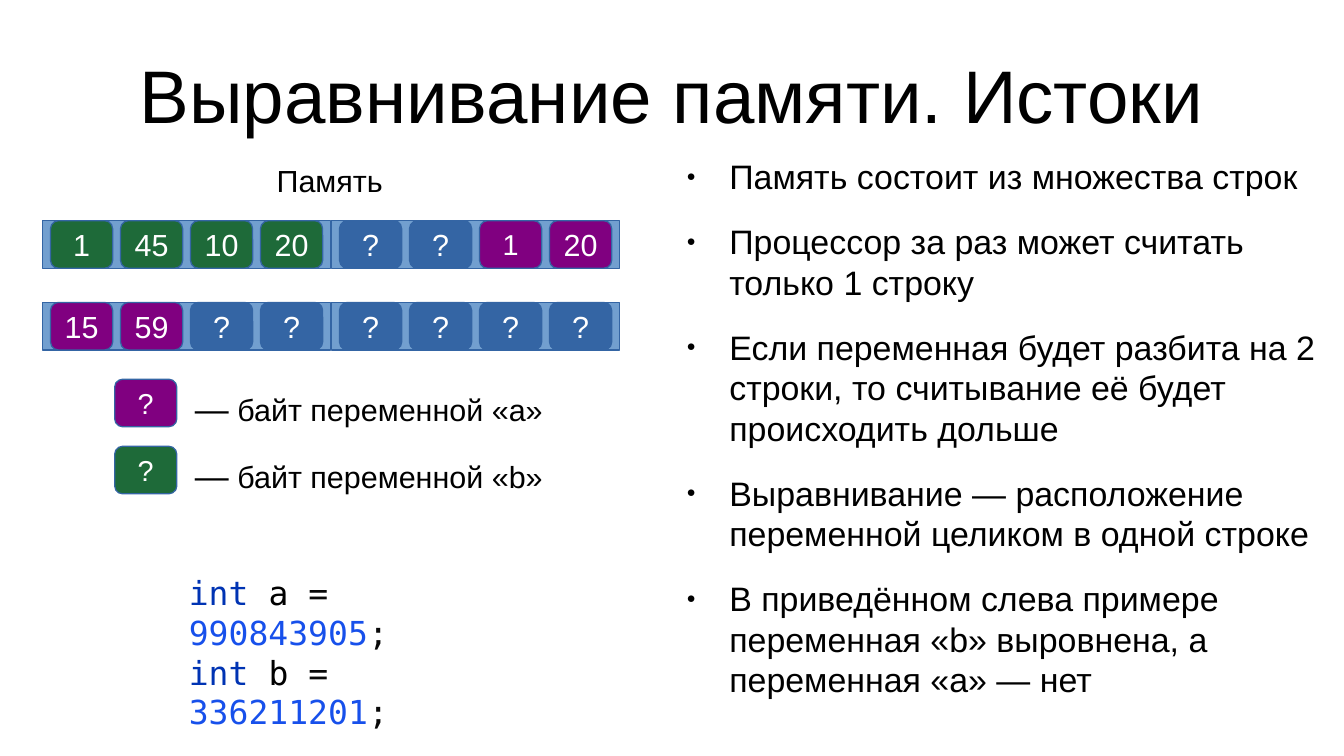
import lxml.etree
import pptx
import pptx.dml.color
import pptx.enum.shapes
import pptx.enum.text
import pptx.oxml.ns
import pptx.util

Inches, Pt = pptx.util.Inches, pptx.util.Pt
SHAPES = pptx.enum.shapes.MSO_SHAPE
ALIGN = pptx.enum.text.PP_ALIGN
MIDDLE = pptx.enum.text.MSO_ANCHOR.MIDDLE
NO_AUTOSIZE = pptx.enum.text.MSO_AUTO_SIZE.NONE

TITLE = "Выравнивание памяти. Истоки"
POINTS = [
    "Память состоит из множества строк",
    "Процессор за раз может считать только 1 строку",
    "Если переменная будет разбита на 2 строки, то считывание её будет происходить дольше",
    "Выравнивание — расположение переменной целиком в одной строке",
    "В приведённом слева примере переменная «b» выровнена, а переменная «a» — нет",
]
MEMORY_CAPTION = "Память"
A, B, UNKNOWN = "800080", "1E6A39", "3465A4"
BACKING, OUTLINE = "729FCF", "3465A4"
BLACK, WHITE = "000000", "FFFFFF"

# Each memory row: its top, then bytes as (value, colour, text size).
EMPTY = ("?", UNKNOWN, 18)
MEMORY_ROWS = [
    (1.81, [("1", B, 18), ("45", B, 18), ("10", B, 18), ("20", B, 18),
            EMPTY, EMPTY, ("1", A, 17), ("20", A, 18)]),
    (2.48, [("15", A, 18), ("59", A, 18)] + [EMPTY] * 6),
]
LEGEND = [(3.11, A, " байт переменной «a»"), (3.66, B, " байт переменной «b»")]
KEYWORD, NUMBER, SIGN = "0033B3", "1750EB", "080808"
CODE = [
    [("int ", KEYWORD), (name + " ", BLACK), ("= ", SIGN), (value, NUMBER), (";", SIGN)]
    for name, value in [("a", "990843905"), ("b", "336211201")]
]

ROW_LEFT, HALF_WIDTH, HALF_PITCH = 0.35, 2.36, 2.37
BYTE_WIDTH, BYTE_HEIGHT, BYTES_PER_HALF = 0.51, 0.39, 4
BYTE_GAP = (HALF_WIDTH - BYTES_PER_HALF * BYTE_WIDTH) / (BYTES_PER_HALF + 1)


def rgb(color):
    return pptx.dml.color.RGBColor.from_string(color)


def set_font(font, size, color=BLACK, name="Arial"):
    font.size, font.name = Pt(size), name
    font.color.rgb = rgb(color)


def place(shape, left, top, width, height):
    shape.left, shape.top = Inches(left), Inches(top)
    shape.width, shape.height = Inches(width), Inches(height)


def remove_insets(frame):
    frame.margin_left = frame.margin_right = frame.margin_top = frame.margin_bottom = 0
    frame.auto_size = NO_AUTOSIZE


def add_box(shapes, kind, left, top, width, color):
    box = shapes.add_shape(kind, Inches(left), Inches(top), Inches(width), Inches(BYTE_HEIGHT))
    box.shadow.inherit = False
    box.fill.solid()
    box.fill.fore_color.rgb = rgb(color)
    box.line.color.rgb = rgb(OUTLINE)
    box.line.width = Pt(0)
    return box


def add_byte(shapes, left, top, value, color, size):
    byte = add_box(shapes, SHAPES.ROUNDED_RECTANGLE, left, top, BYTE_WIDTH, color)
    byte.text_frame.vertical_anchor = MIDDLE
    byte.text_frame.word_wrap = False
    paragraph = byte.text_frame.paragraphs[0]
    paragraph.text, paragraph.alignment = value, ALIGN.CENTER
    set_font(paragraph.font, size, WHITE)


def add_text(shapes, left, top, width, height, wrap=True):
    frame = shapes.add_textbox(
        Inches(left), Inches(top), Inches(width), Inches(height)).text_frame
    frame.word_wrap = wrap
    return frame


def add_bullet(paragraph):
    properties = paragraph._p.get_or_add_pPr()
    properties.set("marL", str(Inches(0.47)))
    properties.set("indent", str(Inches(-0.35)))

    def add(parent, tag, **attributes):
        return lxml.etree.SubElement(parent, pptx.oxml.ns.qn(tag), attributes)

    add(add(properties, "a:buClr"), "a:srgbClr", val=BLACK)
    add(properties, "a:buSzPct", val="45000")
    add(properties, "a:buFont", typeface="Arial")
    add(properties, "a:buChar", char="●")


def fill_placeholders(slide):
    title, body = slide.shapes.title, slide.placeholders[1]
    place(title, 0.55, 0.25, 9.92, 1.04)
    remove_insets(title.text_frame)
    title.text_frame.vertical_anchor = MIDDLE
    heading = title.text_frame.paragraphs[0]
    heading.text, heading.alignment = TITLE, ALIGN.CENTER
    set_font(heading.font, 44)

    place(body, 5.51, 1.28, 5.31, 4.92)
    remove_insets(body.text_frame)
    body.text_frame.text = "\n".join(POINTS)
    for point in body.text_frame.paragraphs:
        point.space_before = Pt(14.2)
        add_bullet(point)
        set_font(point.font, 20)


def draw_memory(shapes):
    for top, values in MEMORY_ROWS:
        row = shapes.add_group_shape().shapes
        for start in range(0, len(values), BYTES_PER_HALF):
            left = ROW_LEFT + start // BYTES_PER_HALF * HALF_PITCH
            add_box(row, SHAPES.RECTANGLE, left, top, HALF_WIDTH, BACKING)
            for i, byte in enumerate(values[start:start + BYTES_PER_HALF]):
                add_byte(row, left + BYTE_GAP + i * (BYTE_WIDTH + BYTE_GAP), top, *byte)

    caption = add_text(shapes, 2.17, 1.28, 1.07, 0.38, wrap=False).paragraphs[0]
    caption.text = MEMORY_CAPTION
    set_font(caption.font, 18)


def draw_legend(shapes):
    for top, color, meaning in LEGEND:
        add_byte(shapes, 0.94, top, "?", color, 17)
        label = add_text(shapes, 1.5, top + 0.02, 3.19, 0.41).paragraphs[0]
        for text, size in [("—", 20), (meaning, 18)]:
            run = label.add_run()
            run.text = text
            set_font(run.font, size)


def draw_code(shapes):
    frame = add_text(shapes, 1.45, 4.65, 2.54, 0.84)
    for i, tokens in enumerate(CODE):
        line = frame.add_paragraph() if i else frame.paragraphs[0]
        for text, color in tokens:
            run = line.add_run()
            run.text = text
            set_font(run.font, 19.5, color, "DejaVu Sans Mono")


def main():
    presentation = pptx.Presentation()
    presentation.slide_width, presentation.slide_height = Inches(11.02), Inches(6.2)
    slide = presentation.slides.add_slide(presentation.slide_layouts[1])
    fill_placeholders(slide)
    draw_memory(slide.shapes)
    draw_legend(slide.shapes)
    draw_code(slide.shapes)
    presentation.save("out.pptx")


if __name__ == "__main__":
    main()
